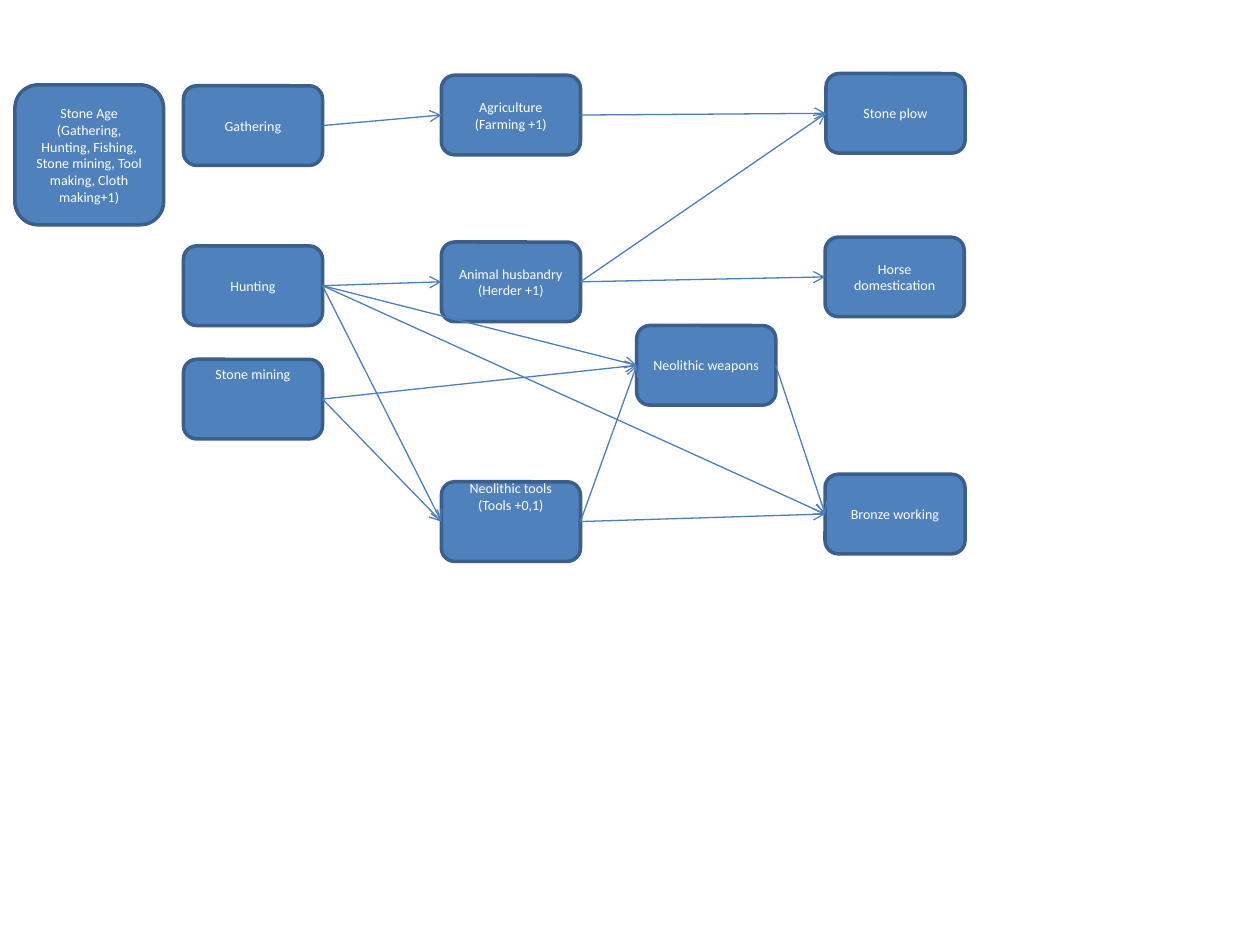
from lxml.etree import SubElement
from pptx import Presentation
from pptx.dml.color import RGBColor
from pptx.enum.shapes import MSO_CONNECTOR, MSO_SHAPE
from pptx.enum.text import MSO_ANCHOR, PP_ALIGN
from pptx.oxml.ns import qn
from pptx.util import Pt

COLORS = {"fill": "4F81BD", "border": "3A5F8C", "arrow": "4B7EBC", "text": "FFFFFF"}
WIDTH, HEIGHT = 79.5, 45.5
LEFT_COLUMN, MIDDLE_COLUMN, RIGHT_COLUMN = 104.8, 252.2, 471.5

deck = Presentation()
deck.slide_width, deck.slide_height = Pt(720), Pt(540)
page = deck.slides.add_slide(deck.slide_layouts[6])

technologies = [
    (MIDDLE_COLUMN, 43, WIDTH, HEIGHT, ["Agriculture", "(Farming +1)"]),
    (MIDDLE_COLUMN, 138.3, WIDTH, HEIGHT, ["Animal husbandry", "(Herder +1)"]),
    (MIDDLE_COLUMN, 275.3, WIDTH, HEIGHT, ["Neolithic tools", "(Tools +0,1)"]),
    (472, 42, WIDTH, HEIGHT, ["Stone plow"]),
    (RIGHT_COLUMN, 135.5, WIDTH, HEIGHT, ["Horse domestication"]),
    (363.8, 186, WIDTH, HEIGHT, ["Neolithic weapons"]),
    (RIGHT_COLUMN, 271, 80, HEIGHT, ["Bronze working"]),
    (8.5, 48.5, 85, 80, [
        "Stone Age",
        "(Gathering, Hunting, Fishing, Stone mining, Tool making, Cloth making+1)",
    ]),
    (LEFT_COLUMN, 49, WIDTH, HEIGHT, ["Gathering"]),
    (LEFT_COLUMN, 140.5, WIDTH, HEIGHT, ["Hunting"]),
    (LEFT_COLUMN, 205.3, WIDTH, HEIGHT, ["Stone mining"]),
]
top_margins = {"Neolithic tools": -3.4, "Stone mining": 1.4}

boxes = {}
for left, top, width, height, lines in technologies:
    box = page.shapes.add_shape(
        MSO_SHAPE.ROUNDED_RECTANGLE, Pt(left), Pt(top), Pt(width), Pt(height)
    )
    title = lines[0]
    boxes[title] = box
    box.shadow.inherit = False
    box.fill.solid()
    box.fill.fore_color.rgb = RGBColor.from_string(COLORS["fill"])
    box.line.color.rgb = RGBColor.from_string(COLORS["border"])
    box.line.width = Pt(2)
    frame = box.text_frame
    frame.word_wrap = True
    frame.vertical_anchor = MSO_ANCHOR.MIDDLE
    if title in top_margins:
        frame.vertical_anchor = MSO_ANCHOR.TOP
        frame.margin_top = Pt(top_margins[title])
    for index, line in enumerate(lines):
        para = frame.add_paragraph() if index else frame.paragraphs[0]
        para.alignment = PP_ALIGN.CENTER
        span = para.add_run()
        span.text = line
        span.font.name = "Calibri"
        span.font.size = Pt(8)
        span.font.color.rgb = RGBColor.from_string(COLORS["text"])

unlocks = [
    ("Gathering", "Agriculture"),
    ("Hunting", "Animal husbandry"),
    ("Hunting", "Neolithic weapons"),
    ("Hunting", "Neolithic tools"),
    ("Neolithic tools", "Neolithic weapons"),
    ("Hunting", "Bronze working"),
    ("Neolithic weapons", "Bronze working"),
    ("Neolithic tools", "Bronze working"),
    ("Animal husbandry", "Horse domestication"),
    ("Agriculture", "Stone plow"),
    ("Animal husbandry", "Stone plow"),
    ("Stone mining", "Neolithic tools"),
    ("Stone mining", "Neolithic weapons"),
]
for source, target in unlocks:
    arrow = page.shapes.add_connector(MSO_CONNECTOR.STRAIGHT, 0, 0, 0, 0)
    arrow.begin_connect(boxes[source], 3)
    arrow.end_connect(boxes[target], 1)
    arrow.line.color.rgb = RGBColor.from_string(COLORS["arrow"])
    arrow.line.width = Pt(0.75)
    properties = arrow._element.spPr
    SubElement(properties.find(qn("a:ln")), qn("a:tailEnd"), type="arrow")
    SubElement(properties, qn("a:effectLst"))

deck.save("out.pptx")
